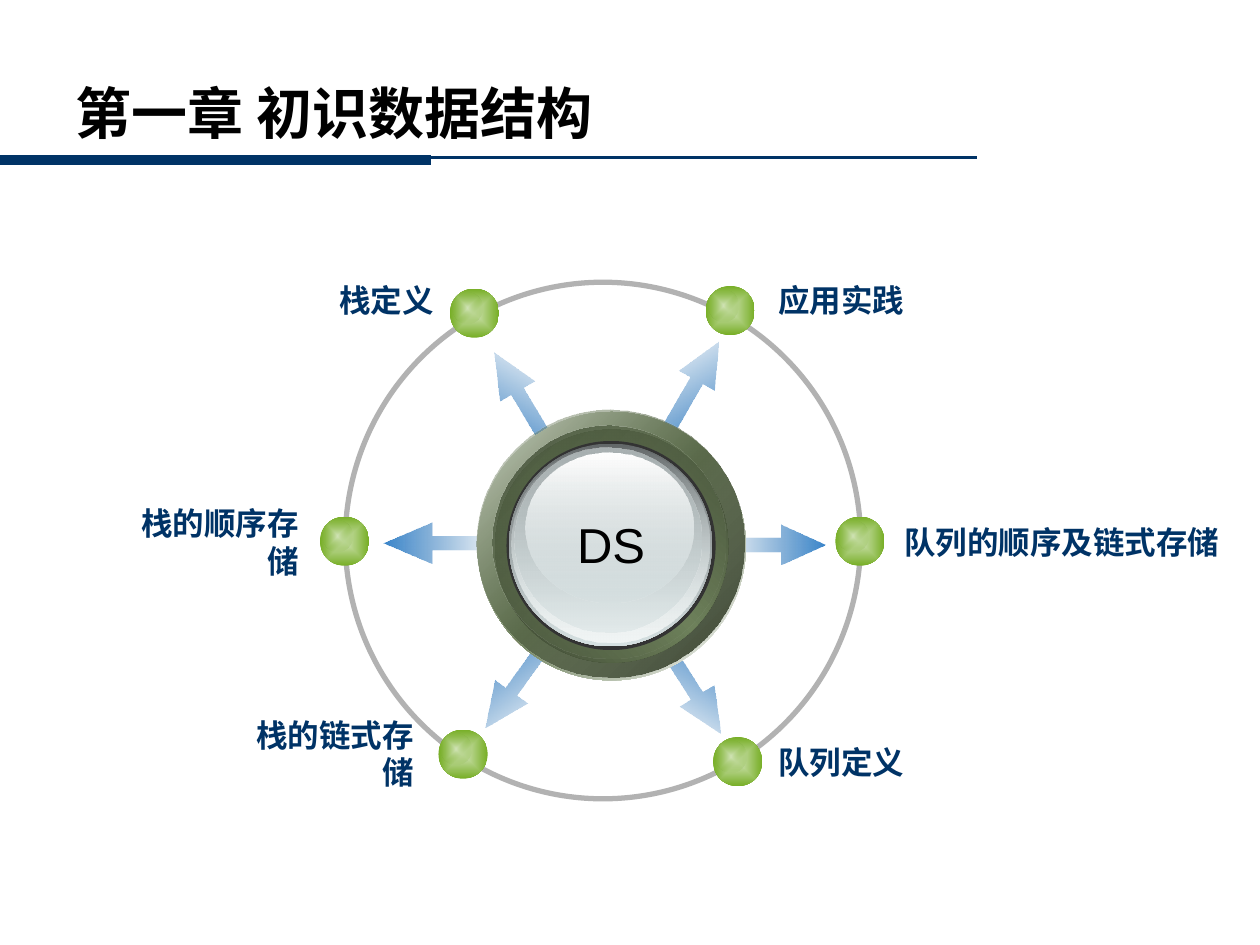
from lxml import etree
from pptx import Presentation
from pptx.dml.color import RGBColor
from pptx.enum.shapes import MSO_CONNECTOR, MSO_SHAPE
from pptx.enum.text import MSO_ANCHOR, PP_ALIGN
from pptx.oxml import parse_xml
from pptx.oxml.ns import nsdecls, qn
from pptx.util import Inches, Pt

NAVY = RGBColor(0x00, 0x33, 0x66)
BLACK = RGBColor(0x00, 0x00, 0x00)
GRAY = RGBColor(0xB2, 0xB2, 0xB2)
BLUE_DARK = RGBColor(0x33, 0x76, 0xB3)
BLUE = RGBColor(0x39, 0x84, 0xC9)
GREEN_LIGHT = RGBColor(0xD1, 0xE4, 0xB6)
GREEN = RGBColor(0x77, 0xAE, 0x26)
WHITE = RGBColor(0xFF, 0xFF, 0xFF)
OLIVE = RGBColor(0x6E, 0x81, 0x5B)
OLIVE_DEEP = RGBColor(0x33, 0x3C, 0x2A)
OLIVE_DARK = RGBColor(0x3C, 0x46, 0x31)
OLIVE_MID = RGBColor(0x46, 0x52, 0x3A)
CHARCOAL = RGBColor(0x33, 0x33, 0x33)
STEEL = RGBColor(0x63, 0x68, 0x69)
SILVER = RGBColor(0xAA, 0xB2, 0xB3)
MIST = RGBColor(0xD6, 0xE1, 0xE2)
PALE = RGBColor(0xF1, 0xF5, 0xF5)

prs = Presentation()
prs.slide_width, prs.slide_height = Inches(10), Inches(7.5)
s = prs.slides.add_slide(prs.slide_layouts[6])


def add_gradient_shape(kind, box, stops, angle=None):
    """Stops are (position %, colour, opacity %); no angle means from the centre out."""
    sp = s.shapes.add_shape(kind, *map(Inches, box))
    sp.shadow.inherit = False
    sp.line.fill.background()
    colors = "".join(
        f'<a:gs pos="{pos * 1000}"><a:srgbClr val="{color}">'
        f'<a:alpha val="{alpha * 1000}"/></a:srgbClr></a:gs>'
        for pos, color, alpha in stops)
    if angle is None:
        direction = '<a:path path="rect"><a:fillToRect l="50000" t="50000" r="50000" b="50000"/></a:path>'
    else:
        direction = f'<a:lin ang="{angle * 60000}" scaled="0"/>'
    geometry = sp._element.spPr.find(qn("a:prstGeom"))
    geometry.addnext(parse_xml(
        f'<a:gradFill {nsdecls("a")} rotWithShape="0"><a:gsLst>{colors}</a:gsLst>'
        f'{direction}</a:gradFill>'))
    return sp


def add_text(box, text, align, wrap=False, **font):
    tf = s.shapes.add_textbox(*map(Inches, box)).text_frame
    tf.word_wrap = wrap
    tf.vertical_anchor = MSO_ANCHOR.MIDDLE
    p = tf.paragraphs[0]
    p.alignment = align
    r = p.add_run()
    r.text = text
    r.font.color.rgb = font.pop("color")
    for name, value in font.items():
        setattr(r.font, name, value)


# Title and its rules
for x, y, width in [(7.75, 1.25, 1.5), (3.42, 1.27, 6)]:
    rule = s.shapes.add_connector(MSO_CONNECTOR.STRAIGHT, 0, Inches(y), Inches(x), Inches(y))
    rule.line.color.rgb = NAVY
    rule.line.width = Pt(width)
    etree.SubElement(rule._element.spPr, qn("a:effectLst"))
add_text((0.5, 0.58, 8.42, 0.62), "第一章 初识数据结构", PP_ALIGN.LEFT, wrap=True,
         size=Pt(32), name="DejaVu Sans", bold=True, color=BLACK)

# Arrows from the hub: left, top, length, rotation, gradient angle
for left, top, length, rotation, angle in [
    (5.05, 2.93, 0.87, 299.6, 60),
    (5.05, 5.29, 0.87, 57.8, 302),
    (3.71, 3.01, 0.87, 239.5, 120),
    (3.67, 5.26, 0.87, 125.6, 234),
    (5.68, 4.16, 0.87, 0, 0),
    (3.04, 4.15, 0.94, 180, 180),
]:
    arrow = add_gradient_shape(MSO_SHAPE.RIGHT_ARROW, (left, top, length, 0.32),
                               [(0, BLUE_DARK, 0), (100, BLUE, 100)], angle)
    arrow.adjustments[0] = 0.35
    arrow.adjustments[1] = 1.21 if length > 0.9 else 1.11
    arrow.rotation = rotation

# Orbit
orbit = s.shapes.add_shape(MSO_SHAPE.OVAL, Inches(2.74), Inches(2.24), Inches(4.09), Inches(4.1))
orbit.shadow.inherit = False
orbit.fill.background()
orbit.line.color.rgb = GRAY
orbit.line.width = Pt(3)

# Green beads, each with a highlight
for left, top in [(3.57, 2.29), (2.54, 4.1), (3.48, 5.79), (5.6, 2.27), (6.63, 4.1), (5.66, 5.85)]:
    add_gradient_shape(MSO_SHAPE.OVAL, (left, top, 0.39, 0.39),
                       [(0, GREEN_LIGHT, 100), (100, GREEN, 100)])
    add_gradient_shape(MSO_SHAPE.OVAL, (left + 0.02, top + 0.03, 0.24, 0.25),
                       [(0, GREEN_LIGHT, 100), (100, GREEN, 0)])

# Hub, from the outer ring to the gloss
for box, stops, angle in [
    ((3.79, 3.27, 2.13, 2.13), [(0, WHITE, 100), (50, OLIVE, 100), (100, WHITE, 100)], 45),
    ((3.78, 3.25, 2.13, 2.13), [(0, OLIVE, 32), (100, OLIVE_DEEP, 100)], 45),
    ((3.93, 3.41, 1.85, 1.85), [(0, OLIVE_DARK, 100), (50, OLIVE, 100), (100, OLIVE_DARK, 100)], 315),
    ((3.91, 3.38, 1.85, 1.85), [(0, OLIVE_MID, 100), (100, OLIVE, 0)], 45),
    ((4.02, 3.5, 1.66, 1.66), [(0, CHARCOAL, 100), (100, CHARCOAL, 100)], 0),
    ((4.04, 3.52, 1.61, 1.61), [(0, STEEL, 100), (100, MIST, 100)], 90),
    ((4.06, 3.53, 1.57, 1.57), [(0, MIST, 0), (100, PALE, 100)], 90),
    ((4.08, 3.55, 1.49, 1.47), [(0, SILVER, 100), (100, MIST, 48)], 90),
    ((4.17, 3.59, 1.33, 1.19), [(0, WHITE, 100), (100, MIST, 38)], 90),
]:
    add_gradient_shape(MSO_SHAPE.OVAL, box, stops, angle)
add_text((4.48, 4.03, 0.74, 0.57), "DS", PP_ALIGN.CENTER, size=Pt(28), name="Arial", color=BLACK)

# Topic labels
for left, top, width, text, align in [
    (6.08, 2.18, 1.25, "应用实践", PP_ALIGN.LEFT),
    (2.59, 2.18, 0.95, "栈定义", PP_ALIGN.RIGHT),
    (7.08, 4.1, 2.75, "队列的顺序及链式存储", PP_ALIGN.LEFT),
    (6.08, 5.85, 1.26, "队列定义", PP_ALIGN.LEFT),
    (0.78, 4.1, 1.69, "栈的顺序存储", PP_ALIGN.RIGHT),
    (1.69, 5.78, 1.69, "栈的链式存储", PP_ALIGN.RIGHT),
]:
    add_text((left, top, width, 0.4), text, align,
             size=Pt(18), name="Arial", bold=True, color=NAVY)

prs.save("out.pptx")
